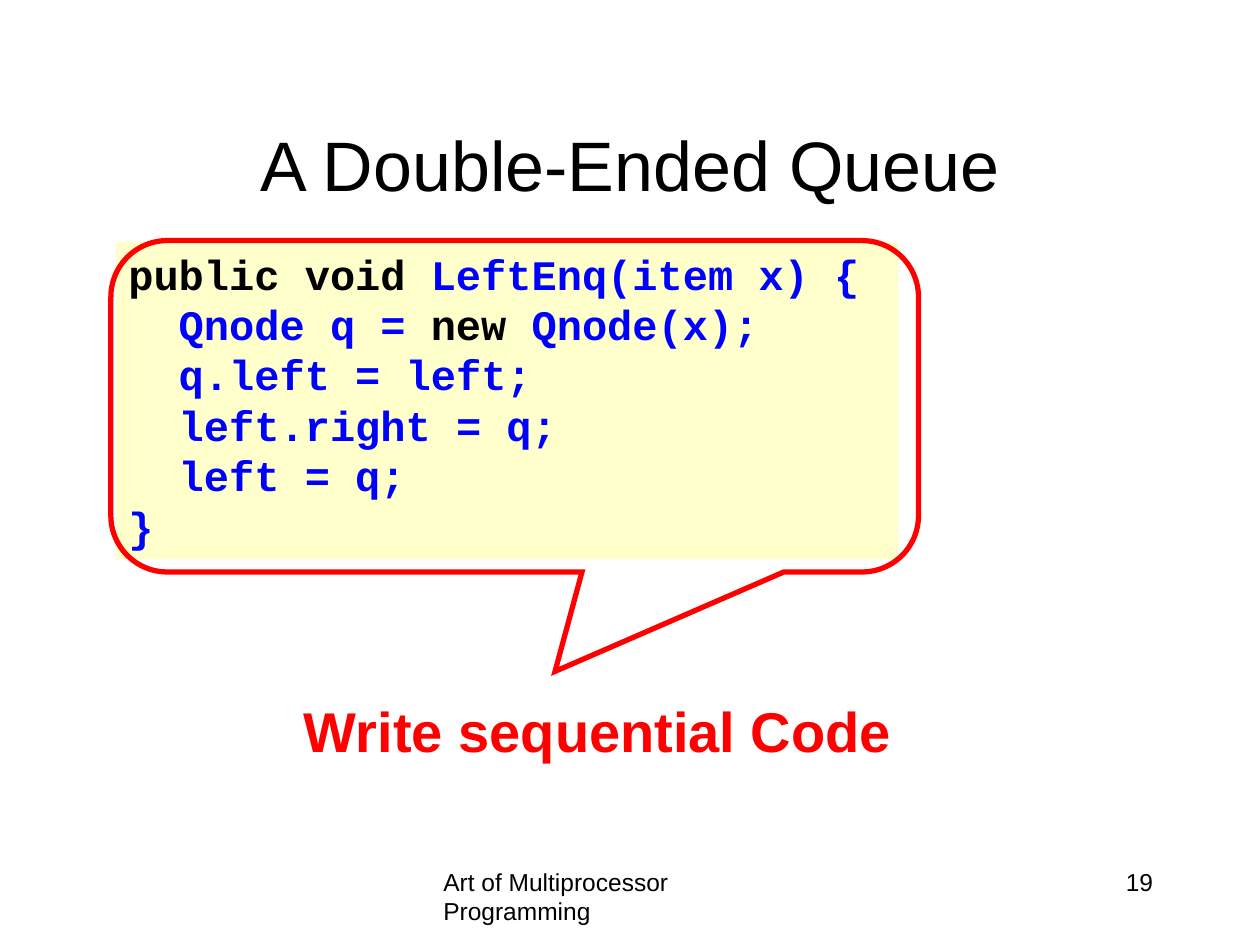
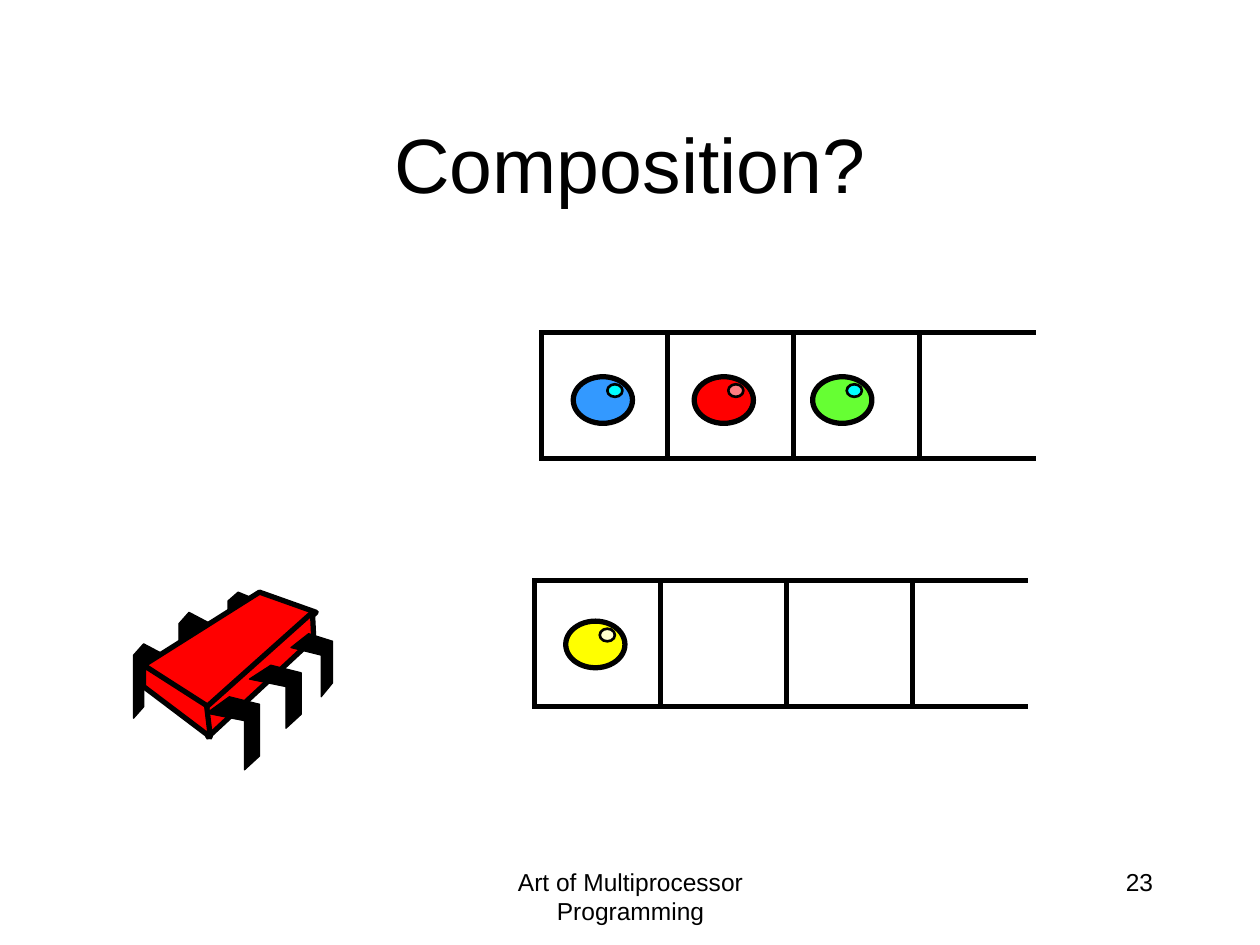
from pptx import Presentation
from pptx.dml.color import RGBColor
from pptx.enum.shapes import MSO_CONNECTOR, MSO_SHAPE
from pptx.enum.text import MSO_ANCHOR, PP_ALIGN
from pptx.oxml.ns import qn
from pptx.util import Pt
from lxml.etree import SubElement

PX = 9144  # 100 px to the inch
C = {"black": "000000", "blue": "0000FF", "red": "FF0000", "cream": "FFFFCC",
     "yellow": "FFFF00", "green": "66FF33", "cyan": "00FFFF",
     "pink": "FF7C80", "sky": "3399FF"}


def rgb(name):
    return RGBColor.from_string(C[name])


def emu(*lengths):
    return [v * PX for v in lengths]


class Deck:
    font, code_font = "Arial", "Courier New"

    def __init__(self):
        self.prs = Presentation()
        self.prs.slide_width, self.prs.slide_height = emu(1000, 750)

    def slide(self, title, size, number, footer_align):
        self.s = self.prs.slides.add_slide(self.prs.slide_layouts[5])
        self.text((342, 683, 317, 50), "Art of Multiprocessor Programming",
                  14, align=footer_align)
        self.text((717, 683, 208, 50), number, 14, align=PP_ALIGN.RIGHT)
        sp = self.s.shapes.title
        sp.left, sp.top, sp.width, sp.height = emu(75, 67, 850, 125)
        tf = sp.text_frame
        tf.vertical_anchor = MSO_ANCHOR.MIDDLE
        p = tf.paragraphs[0]
        p.alignment = PP_ALIGN.CENTER
        self.run(p, title, size)

    def run(self, p, text, size, color="black", bold=False, font=None):
        r = p.add_run()
        r.text = text
        r.font.name, r.font.size, r.font.bold = font or self.font, Pt(size), bold
        r.font.color.rgb = rgb(color)

    def text(self, box, text, size, color="black", bold=False, align=PP_ALIGN.LEFT):
        tf = self.s.shapes.add_textbox(*emu(*box)).text_frame
        tf.word_wrap = True
        p = tf.paragraphs[0]
        p.alignment = align
        self.run(p, text, size, color, bold)

    def paint(self, sp, fill, line, weight):
        sp.shadow.inherit = False
        if fill:
            sp.fill.solid()
            sp.fill.fore_color.rgb = rgb(fill)
        else:
            sp.fill.background()
        if line:
            sp.line.color.rgb = rgb(line)
            sp.line.width = Pt(weight)
        else:
            sp.line.fill.background()

    def shape(self, kind, box, fill=None, line="black", weight=3, parent=None, miter=False):
        sp = (parent or self.s).shapes.add_shape(kind, *emu(*box))
        self.paint(sp, fill, line, weight)
        if miter:
            ln = sp.line._get_or_add_ln()
            SubElement(ln, qn("a:miter"), lim="800000")
        return sp

    def code(self, box, lines):
        sp = self.shape(MSO_SHAPE.RECTANGLE, box, "cream", None)
        tf = sp.text_frame
        tf.word_wrap = True
        tf.vertical_anchor = MSO_ANCHOR.TOP
        for i, line in enumerate(lines):
            p = tf.add_paragraph() if i else tf.paragraphs[0]
            p.alignment = PP_ALIGN.LEFT
            p.line_spacing = Pt(28.8)
            for text, color in line:
                self.run(p, text, 24, color, True, self.code_font)

    def line(self, x1, y1, x2, y2):
        cn = self.s.shapes.add_connector(MSO_CONNECTOR.STRAIGHT, *emu(x1, y1, x2, y2))
        cn.line.color.rgb = rgb("black")
        cn.line.width = Pt(3)
        SubElement(cn._element.spPr, qn("a:effectLst"))

    def outline(self, points, fill, weight, parent):
        fb = parent.shapes.build_freeform(*points[0], scale=PX)
        fb.add_line_segments(points[1:], close=True)
        self.paint(fb.convert_to_shape(), fill, "black", weight)

    def queue(self, x, y, tail_x):
        for i in range(3):
            self.shape(MSO_SHAPE.RECTANGLE, (x + 100 * i, y, 100, 100), miter=True)
        for edge in (y, y + 100):
            self.line(tail_x, edge, tail_x + 100, edge)

    def marble(self, x, y, fill, shine):
        g = self.s.shapes.add_group_shape()
        self.shape(MSO_SHAPE.OVAL, (x, y, 47, 37), fill, parent=g)
        self.shape(MSO_SHAPE.OVAL, (x + 27, y + 6, 12, 10), shine, weight=1.5, parent=g)

    def chip(self, back_legs, faces, front_legs):
        g = self.s.shapes.add_group_shape()
        for parts, fill, weight in ((back_legs, "black", 0.75), (faces, "red", 3),
                                    (front_legs, "black", 0.75)):
            for points in parts:
                self.outline(points, fill, weight, g)


def back_leg(x, y, rise, height):
    """Bent leg with its top left corner at x, y."""
    drop = height - rise
    return [(x + 25, y + rise), (x + 8, y), (x, y + rise), (x, y + height),
            (x + 8, y + drop), (x + 8, y + 2 * rise - 1),
            (x + 25, y + 3 * rise - 2), (x + 25, y + rise)]


def front_leg(x, y, knee, width, shin, bend, height):
    """Bent leg reaching right from its hip at x, y + bend."""
    foot = y + height
    return [(x + knee, y), (x, y + bend), (x + shin, y + bend + 6),
            (x + shin, foot), (x + width, foot - 11),
            (x + width, y + 6), (x + knee, y)]


def main():
    d = Deck()

    # Sequential code
    d.slide("A Double-Ended Queue", 40, "19", PP_ALIGN.LEFT)
    d.code((92, 192, 621, 252), [
        [("public void ", "black"), ("LeftEnq(item x) {", "blue")],
        [("  Qnode q = ", "blue"), ("new ", "black"), ("Qnode(x);", "blue")],
        [("  q.left = left;", "blue")],
        [("  left.right = q;", "blue")],
        [("  left = q;", "blue")],
        [("}", "blue")],
    ])
    callout = d.shape(MSO_SHAPE.ROUNDED_RECTANGULAR_CALLOUT, (88, 191, 641, 263),
                      line="red", miter=True)
    for i, value in enumerate((0.05, 0.8, 0.17)):
        callout.adjustments[i] = value
    d.text((82, 548, 785, 63), "Write sequential Code", 32, "red", True, PP_ALIGN.CENTER)

    # Thread facing two queues
    d.slide("Composition?", 44, "23", PP_ALIGN.CENTER)
    d.chip(
        back_legs=[back_leg(106, 511, 9, 59), back_leg(142, 486, 9, 59),
                   back_leg(181, 470, 7, 50)],
        faces=[[(206, 470), (114, 528), (165, 563), (251, 486)],
               [(248, 486), (164, 561), (165, 585), (249, 507)],
               [(114, 528), (114, 545), (167, 585), (164, 560)]],
        front_legs=[front_leg(164, 553, 18, 42, 30, 13, 58),
                    front_leg(198, 528, 17, 41, 29, 11, 50),
                    front_leg(231, 503, 14, 33, 24, 11, 50)])
    d.marble(449, 493, "yellow", "cream")
    d.queue(424, 461, 716)
    d.queue(430, 264, 722)
    for x, fill, shine in ((645, "green", "cyan"), (551, "red", "pink"), (455, "sky", "cyan")):
        d.marble(x, 299, fill, shine)

    d.prs.save("out.pptx")


if __name__ == "__main__":
    main()
